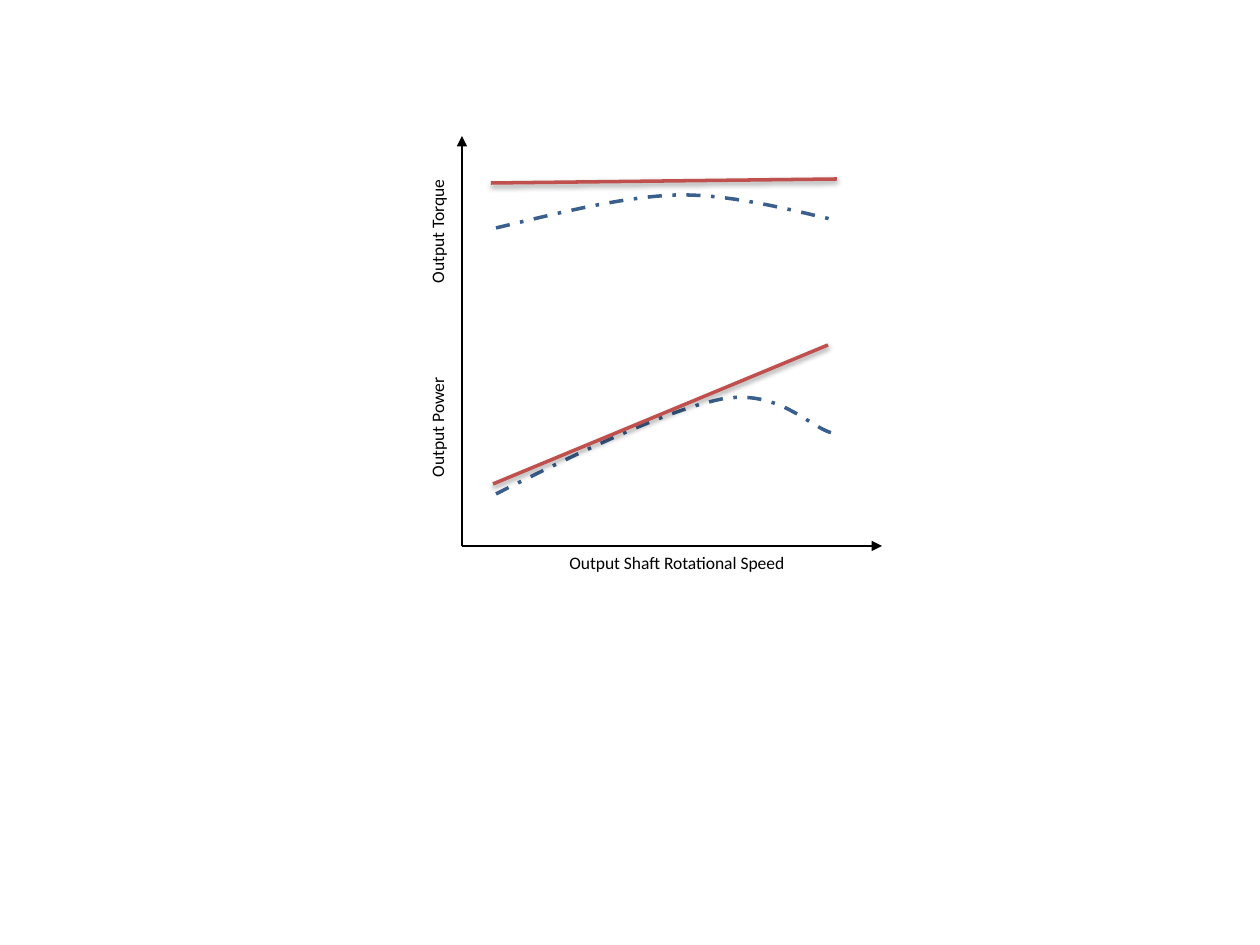
from lxml import etree
from pptx import Presentation, util as u
from pptx.dml.color import RGBColor
from pptx.enum import dml, shapes, text
from pptx.oxml import ns

EMU_PER_PIXEL = 914400 / 126
BLACK = RGBColor(0x00, 0x00, 0x00)
RED = RGBColor(0xC0, 0x50, 0x4D)
BLUE = RGBColor(0x3A, 0x5F, 0x8C)
FONT = "Calibri"
CURVE_STEPS = 24


def px(length):
    """Turn picture pixels into EMU."""
    return u.Emu(round(length * EMU_PER_PIXEL))


def add_label(page, left, top, width, wording, rotation=0):
    """Place one axis label."""
    box = page.shapes.add_textbox(px(left), px(top), px(width), px(34))
    box.rotation = rotation
    frame = box.text_frame
    frame.word_wrap = True
    frame.auto_size = text.MSO_AUTO_SIZE.SHAPE_TO_FIT_TEXT
    span = frame.paragraphs[0].add_run()
    span.text = wording
    span.font.name = FONT
    span.font.size = u.Pt(10)
    span.font.color.rgb = BLACK


def add_line(page, start, end, color, weight, arrow=False, shadow=False):
    """Draw a straight line, with an arrowhead or a soft shadow on request."""
    line = page.shapes.add_connector(
        shapes.MSO_CONNECTOR.STRAIGHT, *map(px, (*start, *end)))
    line.line.color.rgb = color
    line.line.width = u.Pt(weight)
    if arrow:
        etree.SubElement(line.line._get_or_add_ln(), ns.qn("a:tailEnd"), type="triangle")
    effects = etree.SubElement(line._element.spPr, ns.qn("a:effectLst"))
    if shadow:
        outer = etree.SubElement(
            effects, ns.qn("a:outerShdw"), blurRad=str(u.Pt(3.1)),
            dist=str(u.Pt(1.6)), dir="5400000", rotWithShape="0")
        tint = etree.SubElement(outer, ns.qn("a:srgbClr"), val=str(BLACK))
        etree.SubElement(tint, ns.qn("a:alpha"), val="38000")


def bezier_points(knots):
    """Sample a chain of cubic curves that share their end knots."""
    points = [knots[0]]
    for first in range(0, len(knots) - 1, 3):
        a, b, c, d = knots[first:first + 4]
        for step in range(1, CURVE_STEPS + 1):
            t = step / CURVE_STEPS
            s = 1 - t
            points.append(tuple(
                s**3 * a[i] + 3 * s * s * t * b[i] + 3 * s * t * t * c[i] + t**3 * d[i]
                for i in (0, 1)))
    return points


def add_curve(page, knots):
    """Draw a dash-dot curve through the knots."""
    points = [(px(x), px(y)) for x, y in bezier_points(knots)]
    builder = page.shapes.build_freeform(*points[0])
    builder.add_line_segments(points[1:], close=False)
    curve = builder.convert_to_shape()
    curve.shadow.inherit = False
    curve.fill.background()
    curve.line.color.rgb = BLUE
    curve.line.width = u.Pt(2)
    curve.line.dash_style = dml.MSO_LINE.DASH_DOT


def add_plot(page, left, top, width, height):
    """Build the torque and power plot inside its box."""
    def at(*points):
        return [(left + x, top + y) for x, y in points]

    origin, peak, far = at((0, height), (0, 0), (width, height))
    for tip in (peak, far):
        add_line(page, origin, tip, BLACK, 0.75, arrow=True)

    add_label(page, left + 95, top + height, 253, "Output Shaft Rotational Speed")
    for offset, wording in ((68, "Output Torque"), (262, "Output Power")):
        add_label(page, left - 99, top + offset, 149, wording, rotation=270)

    add_curve(page, at((34, 358), (120, 315), (205, 274), (260, 263),
                       (317, 253), (347, 291), (370, 297)))
    for ends in (at((31, 348), (366, 209)), at((29, 47), (375, 43))):
        add_line(page, *ends, RED, 2, shadow=True)
    add_curve(page, at((34, 92), (97, 77), (159, 61), (215, 59),
                       (270, 58), (337, 76), (368, 83)))


deck = Presentation()
deck.slide_width, deck.slide_height = px(1260), px(945)
page = deck.slides.add_slide(deck.slide_layouts[6])
add_plot(page, 462, 136, 420, 410)
deck.save("out.pptx")
